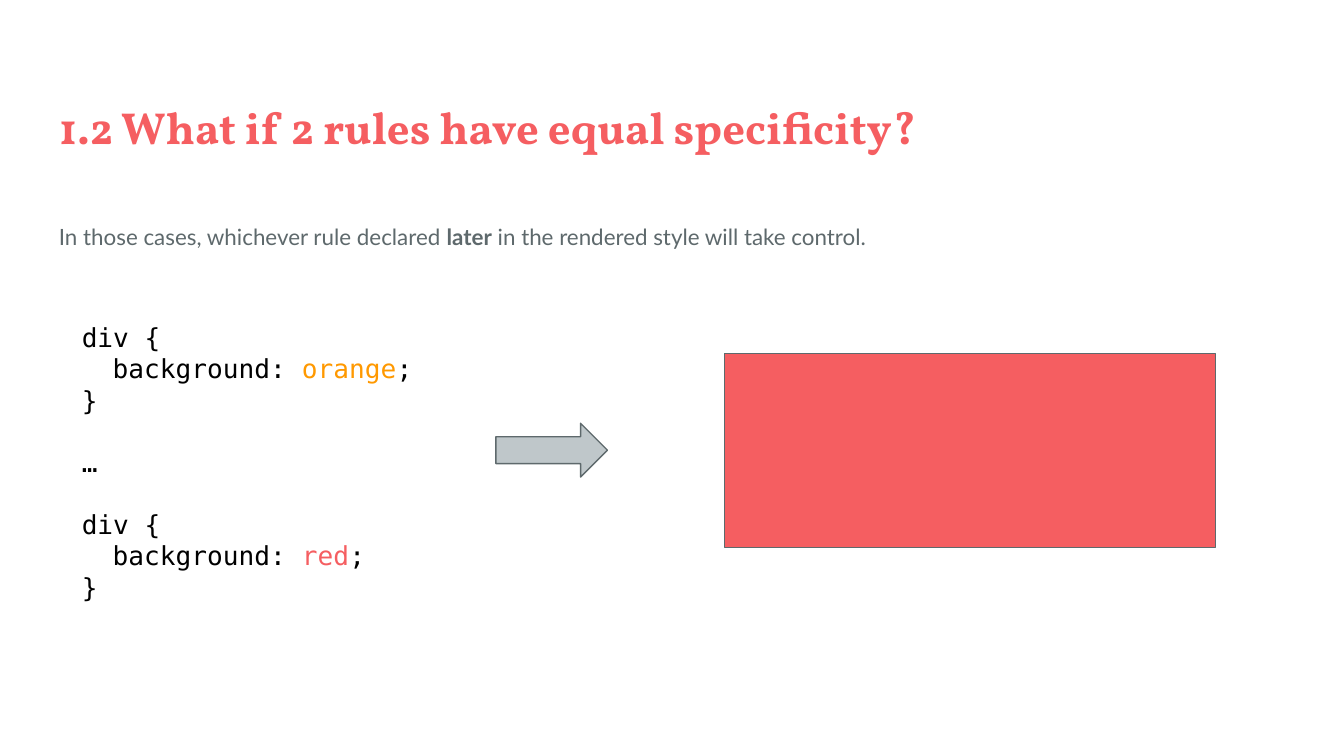
"""Build a slide on how CSS resolves two rules of equal specificity."""
from pptx import Presentation
from pptx import util as u
from pptx.dml import color as c
from pptx.enum import shapes, text

RED, ORANGE, SLATE, SILVER, BLACK = "F55E61", "FF9900", "5E696C", "BFC7CA", "000000"


def rgb(value):
    return c.RGBColor.from_string(value)


class Deck:
    title_font = {"name": "Vollkorn", "size": u.Pt(24), "bold": True}
    body_font = {"name": "Lato", "size": u.Pt(12), "bold": False}
    code_font = {"name": "DejaVu Sans Mono", "size": u.Pt(14), "bold": False}

    def __init__(self, width):
        self.prs = Presentation()
        self.prs.slide_width = u.Inches(width)
        self.prs.slide_height = u.Inches(width * 9 / 16)
        self.s = self.prs.slides.add_slide(self.prs.slide_layouts[5])

    def frame(self, sp, anchor):
        tf = sp.text_frame
        layout = {"word_wrap": True, "auto_size": text.MSO_AUTO_SIZE.NONE,
                  "vertical_anchor": anchor}
        layout.update({f"margin_{side}": u.Inches(0.1)
                       for side in ("left", "top", "right", "bottom")})
        for name, value in layout.items():
            setattr(tf, name, value)
        return tf

    def run(self, p, words, font, color, **changes):
        r = p.add_run()
        r.text = words
        for name, value in {**font, **changes}.items():
            setattr(r.font, name, value)
        r.font.color.rgb = rgb(color)

    def title(self, words, x, y, w, h):
        sp = self.s.shapes.title
        sp.left, sp.top, sp.width, sp.height = map(u.Inches, (x, y, w, h))
        p = self.frame(sp, text.MSO_ANCHOR.BOTTOM).paragraphs[0]
        p.alignment = text.PP_ALIGN.LEFT
        self.run(p, words, self.title_font, RED)

    def text_box(self, x, y, w, h):
        sp = self.s.shapes.add_textbox(*map(u.Inches, (x, y, w, h)))
        return self.frame(sp, text.MSO_ANCHOR.TOP)

    def body(self, runs, x, y, w, h):
        p = self.text_box(x, y, w, h).paragraphs[0]
        p.line_spacing, p.space_after = 1.15, u.Pt(16)
        for words, bold in runs:
            self.run(p, words, self.body_font, SLATE, bold=bold)

    def code(self, lines, x, y, w, h):
        tf = self.text_box(x, y, w, h)
        for i, (runs, indent, gap) in enumerate(lines):
            p = tf.add_paragraph() if i else tf.paragraphs[0]
            p.space_before = u.Pt(gap)
            p._p.get_or_add_pPr().set("marL", str(u.Inches(indent)))
            for words, color in runs:
                self.run(p, words, self.code_font, color)

    def shape(self, kind, fill, line, x, y, w, h):
        sp = self.s.shapes.add_shape(kind, *map(u.Inches, (x, y, w, h)))
        sp.shadow.inherit = False
        sp.fill.solid()
        sp.fill.fore_color.rgb = rgb(fill)
        sp.line.color.rgb = rgb(SLATE)
        sp.line.width = u.Pt(line)


def rule(value, color, gap=0):
    return [([("div {", BLACK)], 0, gap),
            ([("background: ", BLACK), (value, color), (";", BLACK)], 0.23, 0),
            ([("}", BLACK)], 0, 0)]


def main():
    deck = Deck(10)
    deck.title("1.2 What if 2 rules have equal specificity?", 0.34, 0.6, 6.64, 0.64)
    deck.body([("In those cases, whichever rule declared ", False), ("later", True),
               (" in the rendered style will take control.", False)],
              0.34, 1.53, 6.64, 3.48)
    blank_line = 16.5
    ellipsis = ([("…", BLACK)], 0, blank_line)
    deck.code([*rule("orange", ORANGE), ellipsis, *rule("red", RED, blank_line)],
              0.51, 2.29, 2.71, 2.31)
    deck.shape(shapes.MSO_SHAPE.RIGHT_ARROW, SILVER, 0.75, 3.69, 3.15, 0.83, 0.4)
    deck.shape(shapes.MSO_SHAPE.RECTANGLE, RED, 0.25, 5.39, 2.63, 3.65, 1.44)
    deck.prs.save("out.pptx")


if __name__ == "__main__":
    main()
